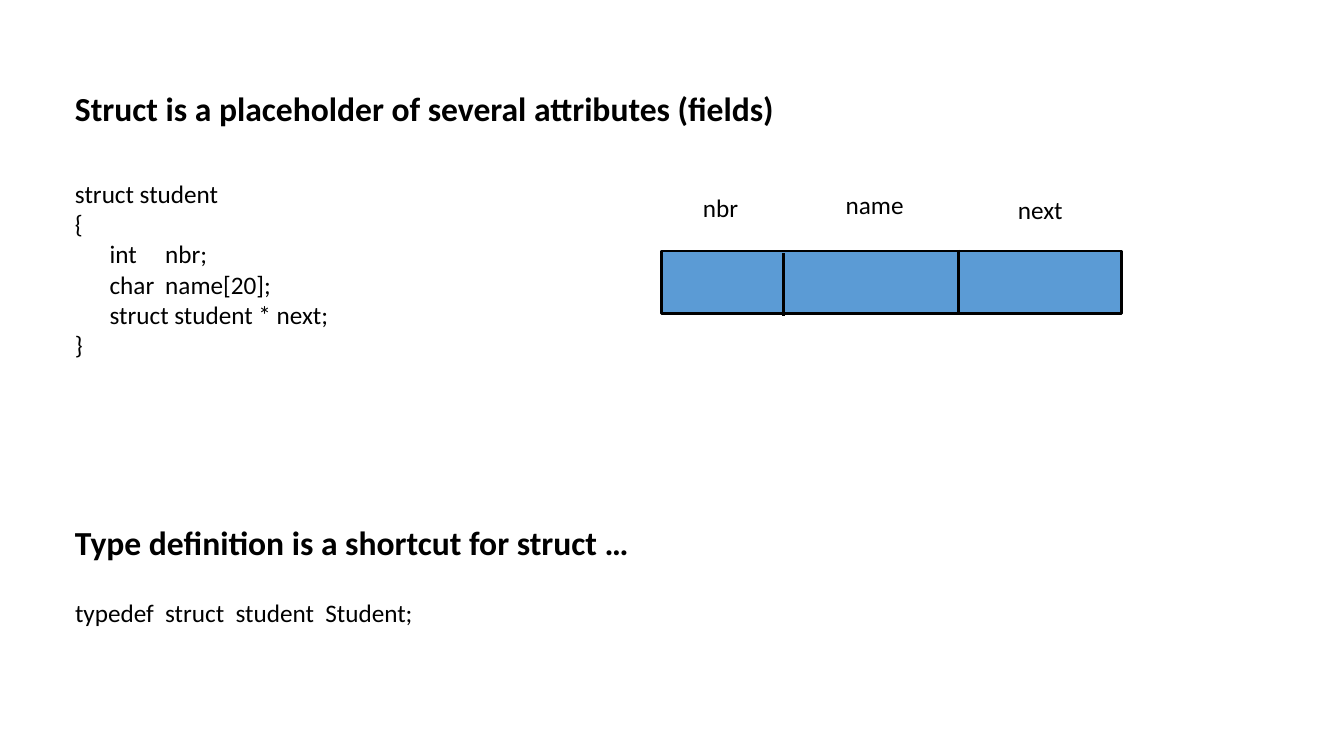
"""Build a slide on C structs and type definitions."""
import pptx
import pptx.dml.color
import pptx.enum.shapes
import pptx.enum.text
import pptx.util
from lxml import etree

PX = 9525
A = "{http://schemas.openxmlformats.org/drawingml/2006/main}"
CODE = """struct student
{
\tint\tnbr;
\tchar\tname[20];
\tstruct student * next;
}"""


def color(value):
    return pptx.dml.color.RGBColor.from_string(value)


def add_text(x, y, w, h, text, size=18, bold=False):
    tb = s.shapes.add_textbox(x * PX, y * PX, w * PX, h * PX)
    tf = tb.text_frame
    tf.word_wrap = True
    tf.auto_size = pptx.enum.text.MSO_AUTO_SIZE.SHAPE_TO_FIT_TEXT
    tf.text = text
    for p in tf.paragraphs:
        for r in p.runs:
            r.font.name = "Calibri"
            r.font.size = pptx.util.Pt(size)
            r.font.bold = bold
            r.font.color.rgb = color("000000")
    return tf


prs = pptx.Presentation()
prs.slide_width = 1280 * PX
prs.slide_height = 720 * PX
s = prs.slides.add_slide(prs.slide_layouts[6])

add_text(62, 79, 898, 48, "Struct is a placeholder of several attributes (fields)", 24, True)
code = add_text(62, 165, 401, 184, CODE)
for p in code.paragraphs:
    if p.text.startswith("\t"):
        tabs = etree.SubElement(p._p.get_or_add_pPr(), A + "tabLst")
        for stop in (33, 86):
            etree.SubElement(tabs, A + "tab", pos=str(stop * PX), algn="l")
add_text(62, 564, 726, 38, "typedef  struct  student  Student;")
add_text(62, 492, 898, 48, "Type definition is a shortcut for struct …", 24, True)

record = s.shapes.add_shape(
    pptx.enum.shapes.MSO_SHAPE.RECTANGLE, 630 * PX, 239 * PX, 438 * PX, 60 * PX)
record.shadow.inherit = False
record.fill.solid()
record.fill.fore_color.rgb = color("5B9BD5")
record.line.color.rgb = color("000000")
record.line.width = pptx.util.Pt(2)

for x, y in ((746, 241), (913, 238)):
    divider = s.shapes.add_connector(
        pptx.enum.shapes.MSO_CONNECTOR.STRAIGHT, x * PX, y * PX, x * PX, (y + 60) * PX)
    divider.line.color.rgb = color("000000")
    divider.line.width = pptx.util.Pt(2)
    etree.SubElement(divider._element.spPr, A + "effectLst")

for field, x, y, w in (("nbr", 660, 178, 69), ("name", 796, 176, 99), ("next", 960, 180, 99)):
    add_text(x, y, w, 38, field)

prs.save("out.pptx")
